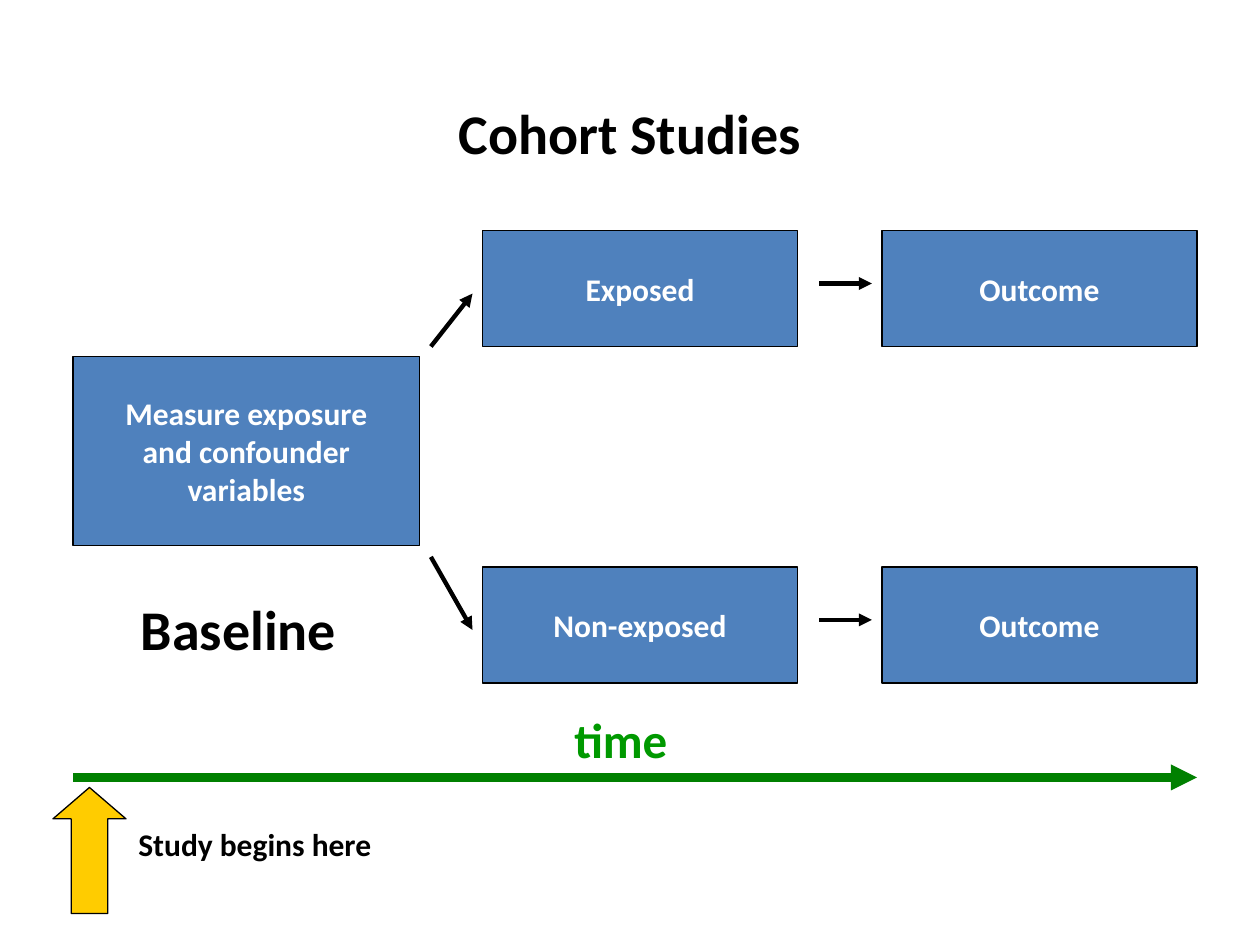
from dataclasses import dataclass

from lxml import etree
from pptx import Presentation
from pptx.dml.color import RGBColor
from pptx.enum.shapes import MSO_CONNECTOR, MSO_SHAPE
from pptx.enum.text import MSO_ANCHOR, MSO_AUTO_SIZE, PP_ALIGN
from pptx.oxml.ns import qn
from pptx.util import Inches, Pt

RECTANGLE = MSO_SHAPE.RECTANGLE
UP_ARROW = MSO_SHAPE.UP_ARROW
STRAIGHT = MSO_CONNECTOR.STRAIGHT
MIDDLE = MSO_ANCHOR.MIDDLE
TOP = MSO_ANCHOR.TOP
CENTER = PP_ALIGN.CENTER
LEFT = PP_ALIGN.LEFT
FIT_SHAPE = MSO_AUTO_SIZE.SHAPE_TO_FIT_TEXT
NO_FIT = MSO_AUTO_SIZE.NONE
TITLE_ONLY = 5


@dataclass(frozen=True)
class Theme:
    font: str = "Calibri"
    ink: str = "000000"
    light: str = "FFFFFF"
    box: str = "4F81BD"
    marker: str = "FFCC00"
    time_line: str = "008000"
    time_label: str = "009900"
    heading_size: float = 32
    time_size: float = 28
    body_size: float = 18
    outline: float = 0.75
    arrow: float = 2.5
    time_arrow: float = 5


class CohortSlide:
    """Draws the elements of a study diagram on one slide in one theme."""

    def __init__(self, slide, theme):
        self.slide = slide
        self.theme = theme

    def fill_text(self, frame, lines, size, color, align):
        for index, line in enumerate(lines):
            para = frame.paragraphs[0] if index == 0 else frame.add_paragraph()
            para.alignment = align
            span = para.add_run()
            span.text = line
            span.font.name = self.theme.font
            span.font.size = Pt(size)
            span.font.bold = True
            span.font.color.rgb = RGBColor.from_string(color)

    def title(self, text, left, top, width, height):
        title = self.slide.shapes.title
        title.left, title.top = Inches(left), Inches(top)
        title.width, title.height = Inches(width), Inches(height)
        frame = title.text_frame
        frame.vertical_anchor = MIDDLE
        frame.auto_size = NO_FIT
        self.fill_text(frame, [text], self.theme.heading_size, self.theme.ink, CENTER)

    def shape(self, kind, left, top, width, height, fill):
        shape = self.slide.shapes.add_shape(
            kind, Inches(left), Inches(top), Inches(width), Inches(height))
        shape.shadow.inherit = False
        shape.fill.solid()
        shape.fill.fore_color.rgb = RGBColor.from_string(fill)
        shape.line.color.rgb = RGBColor.from_string(self.theme.ink)
        shape.line.width = Pt(self.theme.outline)
        return shape

    def box(self, lines, left, top, width, height):
        box = self.shape(RECTANGLE, left, top, width, height, self.theme.box)
        frame = box.text_frame
        frame.word_wrap = False
        frame.vertical_anchor = MIDDLE
        self.fill_text(frame, lines, self.theme.body_size, self.theme.light, CENTER)

    def label(self, text, left, top, width, height, size, color):
        label = self.slide.shapes.add_textbox(
            Inches(left), Inches(top), Inches(width), Inches(height))
        frame = label.text_frame
        frame.word_wrap = False
        frame.auto_size = FIT_SHAPE
        frame.vertical_anchor = TOP
        self.fill_text(frame, [text], size, color, LEFT)

    def arrow(self, start, end, color, weight):
        arrow = self.slide.shapes.add_connector(
            STRAIGHT, *(Inches(length) for length in (*start, *end)))
        arrow.line.color.rgb = RGBColor.from_string(color)
        arrow.line.width = Pt(weight)
        properties = arrow._element.spPr
        outline = properties.find(qn("a:ln"))
        etree.SubElement(outline, qn("a:tailEnd"), type="triangle")
        etree.SubElement(properties, qn("a:effectLst"))

    def marker(self, left, top, width, height):
        marker = self.shape(UP_ARROW, left, top, width, height, self.theme.marker)
        marker.adjustments[0] = 0.5
        marker.adjustments[1] = 0.43


def main():
    deck = Presentation()
    deck.slide_width, deck.slide_height = Inches(10), Inches(7.5)
    theme = Theme()
    page = CohortSlide(deck.slides.add_slide(deck.slide_layouts[TITLE_ONLY]), theme)

    page.title("Cohort Studies", 0.75, 0.67, 8.5, 0.75)
    page.box(["Measure exposure", "and confounder", "variables"], 0.58, 2.83, 2.75, 1.5)
    groups = [
        ("Exposed", 1.83, (3.42, 2.75), (3.75, 2.33)),
        ("Non-exposed", 4.5, (3.42, 4.42), (3.75, 5)),
    ]
    for group, top, branch_start, branch_end in groups:
        page.box([group], 3.83, top, 2.5, 0.92)
        page.box(["Outcome"], 7, top, 2.5, 0.92)
        page.arrow(branch_start, branch_end, theme.ink, theme.arrow)
        page.arrow((6.5, top + 0.42), (6.92, top + 0.42), theme.ink, theme.arrow)

    page.label("Baseline", 1.02, 4.67, 1.78, 0.63, theme.heading_size, theme.ink)
    page.arrow((0.58, 6.17), (9.5, 6.17), theme.time_line, theme.time_arrow)
    page.label("time", 4.46, 5.58, 0.94, 0.57, theme.time_size, theme.time_label)
    page.marker(0.42, 6.25, 0.58, 1)
    page.label("Study begins here", 1, 6.5, 2.74, 0.5, theme.body_size, theme.ink)
    deck.save("out.pptx")


if __name__ == "__main__":
    main()
